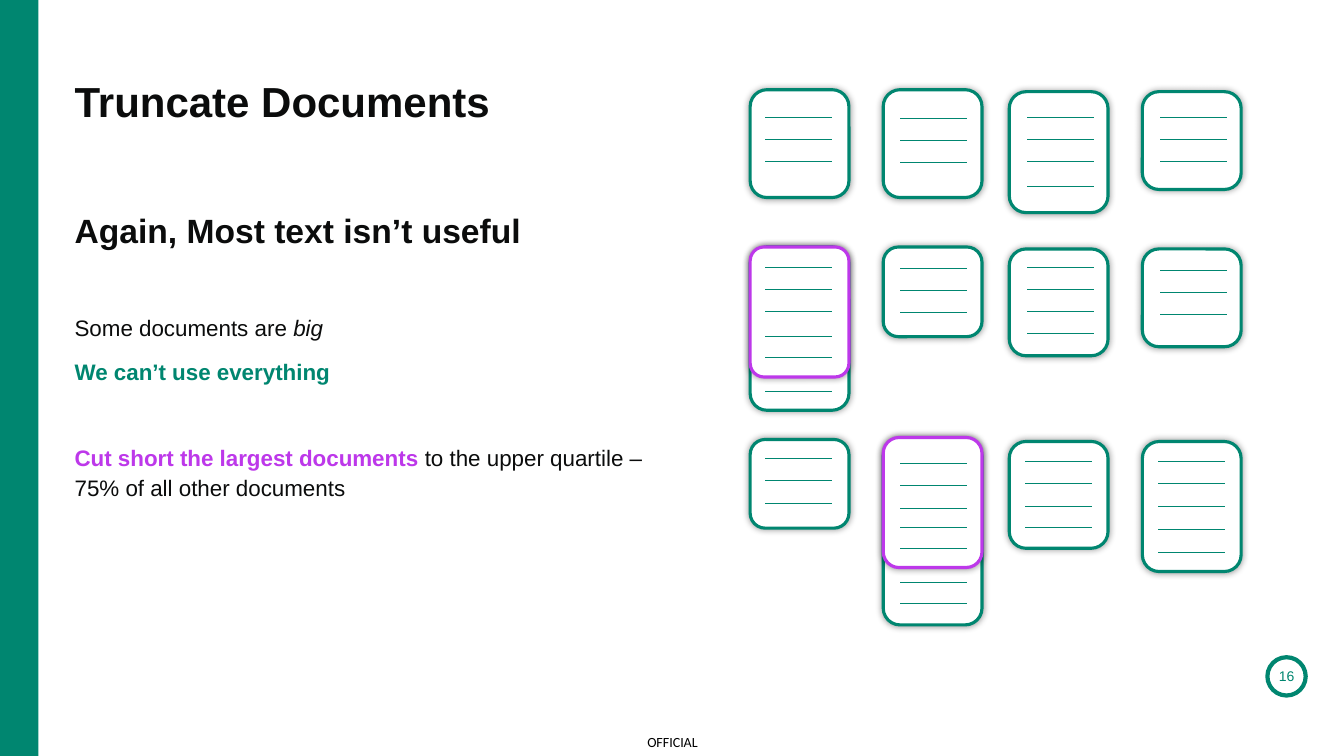
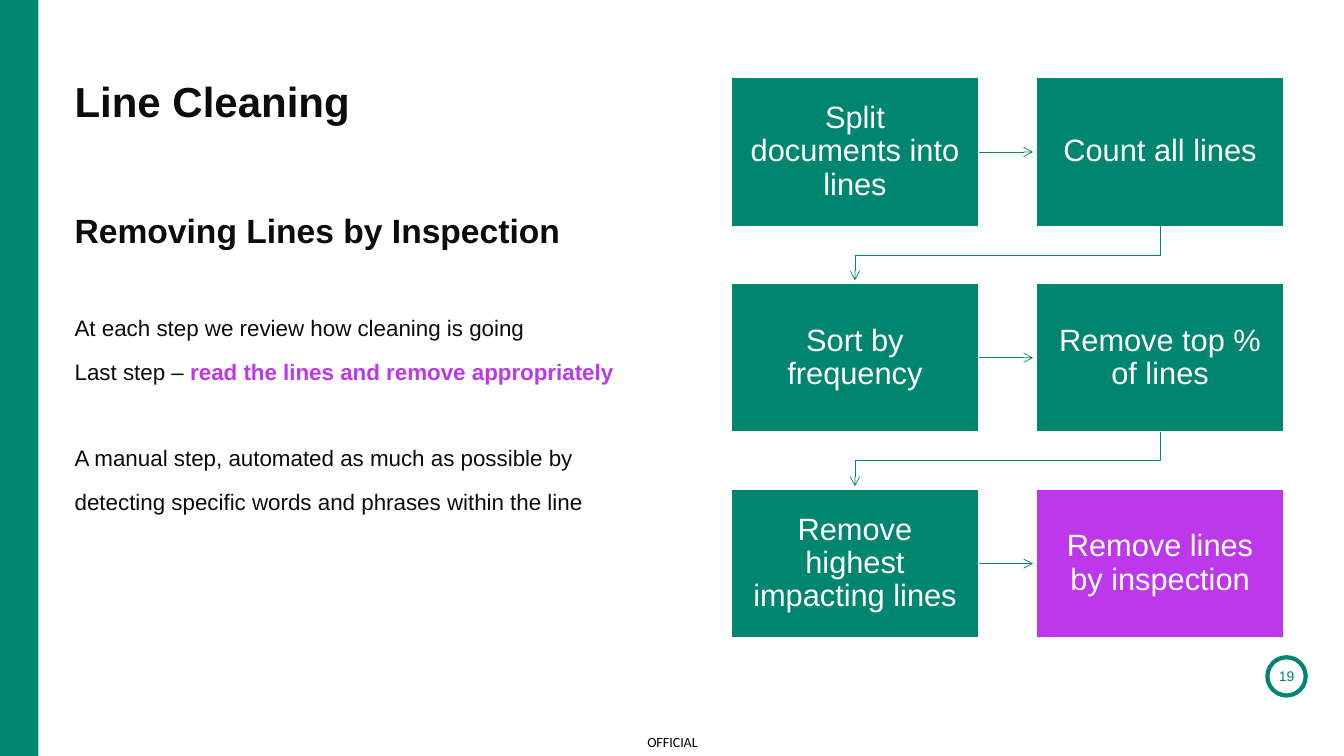
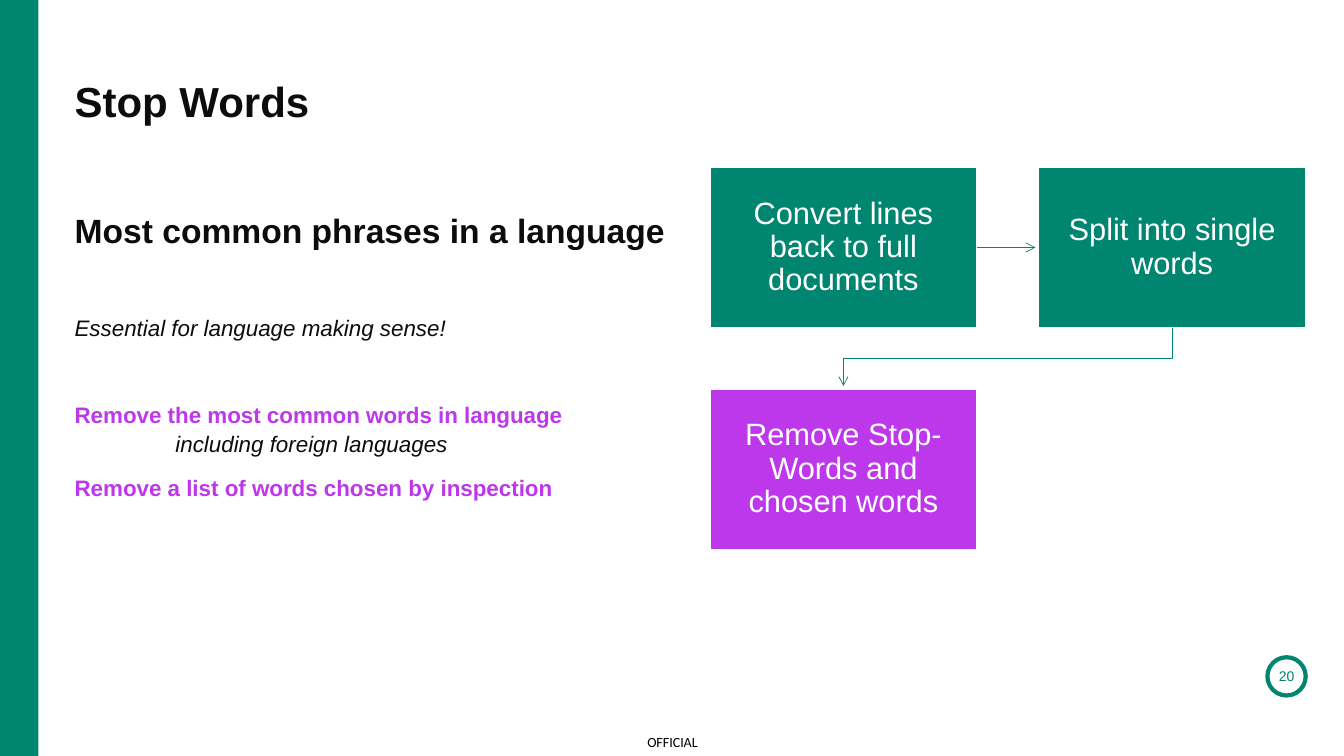
import pptx
import pptx.util
import pptx.dml.color
import pptx.enum.shapes
import pptx.enum.text
import pptx.oxml
import pptx.oxml.ns

Inches, Pt = pptx.util.Inches, pptx.util.Pt
RGB = pptx.dml.color.RGBColor
SHAPE = pptx.enum.shapes.MSO_SHAPE
ALIGN = pptx.enum.text.PP_ALIGN
ANCHOR = pptx.enum.text.MSO_ANCHOR

GREEN = RGB(0x00, 0x86, 0x70)
PURPLE = RGB(0xBD, 0x38, 0xEA)
INK = RGB(0x0B, 0x0C, 0x0C)
BLACK = RGB(0, 0, 0)
WHITE = RGB(0xFF, 0xFF, 0xFF)

# Run styles: colour, bold, italic
PLAIN = (INK, False, False)
SLANT = (INK, False, True)
GO = (GREEN, True, False)
KEY = (PURPLE, True, False)

# Body paragraphs: space before, left indent, runs
FIRST, NEXT, PART = 0, 10, 41
PAGES = [
    dict(
        num="16", title="Truncate Documents",
        sub="Again, Most text isn’t useful",
        body=[
            (FIRST, 0, [("Some documents are ", PLAIN), ("big", SLANT)]),
            (NEXT, 0, [("We can’t use everything", GO)]),
            (PART, 0, [("Cut short the largest documents ", KEY),
                       ("to the upper quartile – 75% of all other documents",
                        PLAIN)]),
        ],
    ),
    dict(
        num="19", title="Line Cleaning", sub="Removing Lines by Inspection",
        body=[
            (FIRST, 0, [("At each step we review how cleaning is going",
                         PLAIN)]),
            (NEXT, 0, [("Last step – ", PLAIN),
                       ("read the lines and remove appropriately", KEY)]),
            (PART, 0, [("A manual step, automated as much as possible by",
                        PLAIN)]),
            (NEXT, 0, [("detecting specific words and phrases within the line",
                        PLAIN)]),
        ],
        flow=(7.25, 0.77, 2.46),
        steps=["Split documents into lines", "Count all lines",
               "Sort by frequency", "Remove top % of lines",
               "Remove highest impacting lines", "Remove lines by inspection"],
    ),
    dict(
        num="20", title="Stop Words", sub="Most common phrases in a language",
        body=[
            (FIRST, 0, [("Essential for language making sense!", SLANT)]),
            (PART, 0, [("Remove the most common words in language", KEY)]),
            (0, 1, [("including foreign languages", SLANT)]),
            (NEXT, 0, [("Remove a list of words chosen by inspection", KEY)]),
        ],
        flow=(7.04, 1.66, 2.65),
        steps=["Convert lines back to full documents",
               "Split into single words",
               "Remove Stop-Words and chosen words"],
    ),
]

# Document cards: left edge, drop and first line x of each column
COLS = [(7.44, 0, 7.59), (8.76, 0, 8.93),
        (10.01, 0.02, 10.19), (11.33, 0.02, 11.51)]
WIDE, RULE = 0.98, 0.66
LINES = (0, 0.22, 0.44)
# Rows: top, then height, first line y and further line offsets per card
ROWS = [
    (0.89, [(1.07, 1.16, ()), (1.07, 1.17, ()),
            (1.2, 1.16, (0.69,)), (0.97, 1.16, ())]),
    (2.45, [(1.62, 2.65, (0.69, 0.9, 1.23)), (0.89, 2.66, ()),
            (1.06, 2.65, (0.66,)), (0.97, 2.68, ())]),
    (4.36, [(0.88, 4.55, ()), (1.84, 4.6, (0.63, 0.84, 1.18, 1.39)),
            (1.06, 4.58, (0.65,)), (1.29, 4.58, (0.67, 0.9))]),
]
# Cut cards: left, top, corner
CUTS = [(7.44, 2.45, 0.14), (8.76, 4.34, 0.16)]
CUT_H = 1.29


def box(lay):
    return [Inches(v) for v in lay]


def add(slide, kind, lay, fill=None, line=None, width=1):
    shape = slide.shapes.add_shape(kind, *box(lay))
    shape.shadow.inherit = False
    if fill is None:
        shape.fill.background()
    else:
        shape.fill.solid()
        shape.fill.fore_color.rgb = fill
    if line is None:
        shape.line.fill.background()
    else:
        shape.line.color.rgb = line
        shape.line.width = Pt(width)
    return shape


def frame(shape, pad=0, anchor=ANCHOR.TOP):
    text = shape.text_frame
    text.word_wrap = True
    text.auto_size = pptx.enum.text.MSO_AUTO_SIZE.NONE
    text.vertical_anchor = anchor
    text.margin_left = text.margin_right = Inches(pad)
    text.margin_top = text.margin_bottom = Inches(pad)
    return text


def style(para, size, color, bold=False, face="Arial", align=ALIGN.LEFT,
          space=1.0):
    para.alignment = align
    para.line_spacing = space
    font = para.font
    font.name, font.size, font.bold = face, Pt(size), bold
    font.color.rgb = color


def label(shape, words, size, color, pad=0, anchor=ANCHOR.MIDDLE,
          align=ALIGN.CENTER, **look):
    para = frame(shape, pad, anchor).paragraphs[0]
    para.text = words
    style(para, size, color, align=align, **look)


def thin(line, head=False):
    """Fine green stroke without shadow, with an arrowhead if asked."""
    line.line.color.rgb = GREEN
    line.line.width = Pt(0.5)
    props = line._element.spPr
    if head:
        stroke = props.find(pptx.oxml.ns.qn("a:ln"))
        stroke.append(pptx.oxml.parse_xml(
            '<a:tailEnd type="arrow" %s/>' % pptx.oxml.ns.nsdecls("a")))
    if props.find(pptx.oxml.ns.qn("a:effectLst")) is None:
        props.append(pptx.oxml.parse_xml(
            "<a:effectLst %s/>" % pptx.oxml.ns.nsdecls("a")))


def straight(slide, x, y, end):
    kind = pptx.enum.shapes.MSO_CONNECTOR.STRAIGHT
    return slide.shapes.add_connector(kind, *box((x, y, end, y)))


def base(deck, page):
    """Band, footer, page number and the text column."""
    slide = deck.slides.add_slide(deck.slide_layouts[5])
    add(slide, SHAPE.RECTANGLE, (0, 0, 0.38, 7.5), GREEN)
    foot = slide.shapes.add_textbox(*box((6.27, 7.21, 0.8, 0.29)))
    label(foot, "OFFICIAL", 10, BLACK, face="Calibri", space=1.1)
    ring = add(slide, SHAPE.OVAL, (12.57, 6.52, 0.38, 0.38), None, GREEN, 3)
    label(ring, page["num"], 10, GREEN)
    ring.text_frame.word_wrap = False

    title = slide.shapes.title
    title.left, title.top, title.width, title.height = box(
        (0.74, 0.75, 5.92, 0.5))
    label(title, page["title"], 30, INK, anchor=ANCHOR.TOP, align=ALIGN.LEFT,
          bold=True)
    sub = slide.shapes.add_textbox(*box((0.74, 2.04, 5.92, 0.41)))
    label(sub, page["sub"], 24, INK, anchor=ANCHOR.TOP, align=ALIGN.LEFT,
          bold=True, space=1.1)

    text = frame(slide.shapes.add_textbox(*box((0.74, 3.09, 5.92, 3.66))))
    for i, (gap, dent, runs) in enumerate(page["body"]):
        para = text.add_paragraph() if i else text.paragraphs[0]
        if dent:
            para._p.get_or_add_pPr().set("marL", str(Inches(dent)))
        style(para, 16, INK, space=1.1)
        para.space_before = Pt(gap)
        for words, (color, bold, slant) in runs:
            run = para.add_run()
            run.text = words
            run.font.bold, run.font.italic = bold, slant
            run.font.color.rgb = color
    return slide


def card(slide, lay, color, corner=0.17):
    shape = add(slide, SHAPE.ROUNDED_RECTANGLE, lay, WHITE, color, 2.25)
    shape.adjustments[0] = corner
    glow = shape._element.spPr.find(pptx.oxml.ns.qn("a:effectLst"))
    glow.append(pptx.oxml.parse_xml(
        '<a:outerShdw blurRad="%d" dist="0" dir="0" rotWithShape="0" %s>'
        '<a:srgbClr val="000000"><a:alpha val="40000"/></a:srgbClr>'
        "</a:outerShdw>" % (Pt(5), pptx.oxml.ns.nsdecls("a"))))


def cards(slide):
    rules = []
    for r, (top, row) in enumerate(ROWS):
        for (left, drop, x), (high, first, more) in zip(COLS, row):
            card(slide, (left, top + drop, WIDE, high), GREEN)
            if r == 2:
                x -= drop
            rules += [(x, first + step) for step in LINES + more]
    for left, top, corner in CUTS:
        card(slide, (left, top, WIDE, CUT_H), PURPLE, corner)
    for x, y in rules:
        thin(straight(slide, x, y, x + RULE))


def flow(slide, start, steps):
    """Two-column chain of boxes; the last one is highlighted."""
    left, top, wide = start
    high, across, down, gap = 0.6 * wide, 1.23 * wide, 0.83 * wide, 0.03
    for i, words in enumerate(steps):
        row, col = divmod(i, 2)
        x, y = left + col * across, top + row * down
        last = i == len(steps) - 1
        step = add(slide, SHAPE.RECTANGLE, (x, y, wide, high),
                   PURPLE if last else GREEN, WHITE)
        label(step, words, 22, WHITE, pad=0.17, space=0.9)
        if last:
            break
        if col == 0:
            arrow = straight(slide, x + wide, y + high / 2, x + across - gap)
            arrow.begin_connect(step, 3)
        else:
            mid, low = x + wide / 2, y + high
            turn, back = (low + y + down) / 2, mid - across
            pen = slide.shapes.build_freeform(Inches(mid), Inches(low))
            pen.add_line_segments(
                [box(p) for p in
                 ((mid, turn), (back, turn), (back, y + down - gap))],
                close=False)
            arrow = pen.convert_to_shape()
            arrow.shadow.inherit = False
            arrow.fill.background()
        thin(arrow, head=True)


def main():
    deck = pptx.Presentation()
    deck.slide_width, deck.slide_height = Inches(13.33), Inches(7.5)
    for page in PAGES:
        slide = base(deck, page)
        if "steps" in page:
            flow(slide, page["flow"], page["steps"])
        else:
            cards(slide)
    deck.save("out.pptx")


if __name__ == "__main__":
    main()
